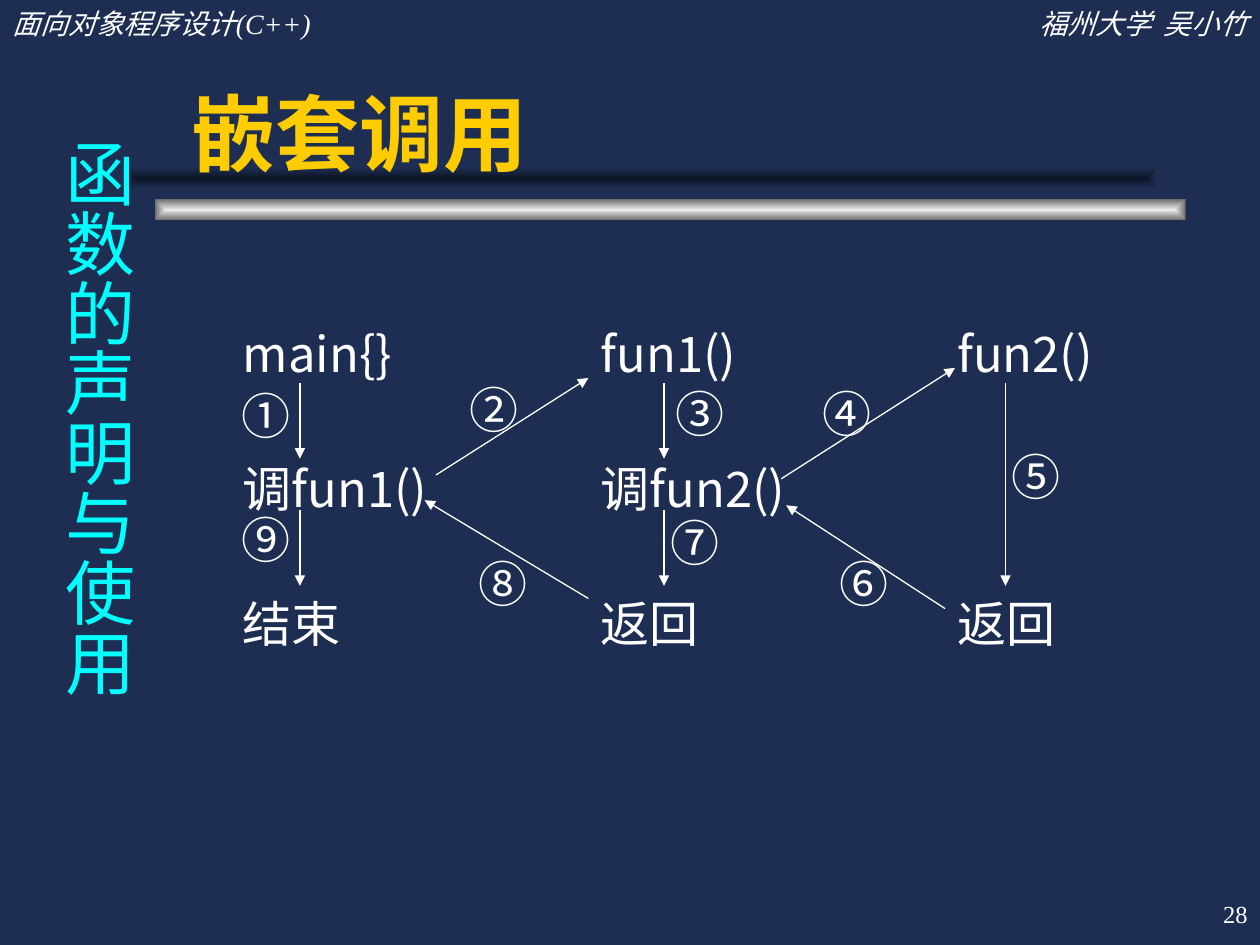
"""Build the nested function call slide."""
from dataclasses import dataclass

from lxml.etree import SubElement
from pptx import Presentation
from pptx.dml.color import RGBColor
from pptx.enum.shapes import MSO_CONNECTOR as CONN, MSO_SHAPE as SHAPE
from pptx.enum.text import MSO_ANCHOR as ANCHOR, PP_ALIGN as ALIGN
from pptx.oxml.ns import qn
from pptx.util import Inches, Pt

COLORS = {
    "navy": "1E2E53", "white": "FFFFFF", "gold": "FFCC00", "cyan": "00FFFF",
    "light": "EAEAEA", "gray": "6B6B6B", "shadow": "0D1526",
}
SERIF, SANS, CJK = "Times New Roman", "Arial", "Noto Sans CJK SC"
LINE, ROW = 41, 77


@dataclass
class Style:
    size: float
    font: str
    color: str = "white"
    bold: bool = False
    italic: bool = False


@dataclass
class Label:
    text: str
    box: tuple
    style: Style
    align: ALIGN = ALIGN.LEFT
    anchor: ANCHOR = ANCHOR.TOP
    insets: tuple = (0.1, 0.05)
    vert: str = "horz"


@dataclass
class Bar:
    x: float
    y: float
    center: str
    edge: str


@dataclass
class Column:
    x: float
    rows: dict


@dataclass
class Arrow:
    start: tuple
    end: tuple


HEADER = Style(16, SERIF, italic=True)
BODY = Style(28, CJK)

BARS = [Bar(1.23, 1.58, "light", "gray"), Bar(1, 1.33, "shadow", "navy")]
LABELS = [
    Label("面向对象程序设计(C++)", (0, 0, 3.08, 0.37), HEADER),
    Label("福州大学  吴小竹", (6.92, 0, 3.08, 0.37), HEADER, ALIGN.RIGHT),
    Label("嵌套调用", (1.42, 0.25, 7.83, 1.25), Style(48, SANS, "gold", bold=True),
          anchor=ANCHOR.BOTTOM),
    Label("函数的声明与使用", (0.3, 1, 0.86, 5.42), Style(40, SERIF, "cyan"),
          insets=(0.05, 0.1), vert="eaVert"),
    Label("28", (7.92, 7, 2.08, 0.5), Style(14, SERIF), ALIGN.RIGHT, ANCHOR.MIDDLE),
]
COLUMNS = [
    Column(1.83, {0: "main{}", 1: "调fun1()", 2: "结束"}),
    Column(4.67, {0: "fun1()", 1: "调fun2()", 2: "返回"}),
    Column(7.5, {0: "fun2()", 2: "返回"}),
]
ARROWS = [Arrow((x, top), (x, top + 0.6)) for x in (2.38, 5.27) for top in (3.04, 4.05)] + [
    Arrow((3.46, 3.77), (4.67, 3)),
    Arrow((4.67, 4.75), (3.37, 3.97)),
    Arrow((6.2, 3.8), (7.58, 2.92)),
    Arrow((7.98, 3.04), (7.98, 4.65)),
    Arrow((7.5, 4.83), (6.24, 4.01)),
]
STEPS = {
    "①": (1.92, 3.06), "②": (3.73, 3.01), "③": (5.36, 3.04),
    "④": (6.53, 3.04), "⑤": (8.03, 3.54), "⑥": (6.66, 4.39),
    "⑦": (5.32, 4.07), "⑧": (3.8, 4.39), "⑨": (1.92, 4.04),
}


def rgb(name: str) -> RGBColor:
    return RGBColor.from_string(COLORS[name])


def add_run(p, text: str, style: Style) -> None:
    r = p.add_run()
    r.text = text
    f = r.font
    f.size, f.name, f.bold, f.italic = Pt(style.size), style.font, style.bold, style.italic
    f.color.rgb = rgb(style.color)
    SubElement(r._r.get_or_add_rPr(), qn("a:ea"), typeface=CJK)


def add_frame(s, box: tuple, insets: tuple):
    tf = s.shapes.add_textbox(*map(Inches, box)).text_frame
    tf.word_wrap = True
    tf.margin_left = tf.margin_right = Inches(insets[0])
    tf.margin_top = tf.margin_bottom = Inches(insets[1])
    return tf


def add_label(s, label: Label) -> None:
    tf = add_frame(s, label.box, label.insets)
    tf.vertical_anchor = label.anchor
    tf._txBody.bodyPr.set("vert", label.vert)
    p = tf.paragraphs[0]
    p.alignment = label.align
    add_run(p, label.text, label.style)


def add_bar(s, bar: Bar) -> None:
    sp = s.shapes.add_shape(SHAPE.RECTANGLE, Inches(bar.x), Inches(bar.y),
                            Inches(8.18), Inches(0.17))
    sp.shadow.inherit = False
    sp.line.fill.background()
    sp.fill.gradient()
    for stop, color in zip(sp.fill.gradient_stops, (bar.center, bar.edge)):
        stop.color.rgb = rgb(color)
    grad = sp._element.spPr.find(qn("a:gradFill"))
    grad.remove(grad.find(qn("a:lin")))
    focus = SubElement(grad, qn("a:path"), path="rect")
    SubElement(focus, qn("a:fillToRect"), dict.fromkeys("ltrb", "50000"))


def add_column(s, column: Column) -> None:
    tf = add_frame(s, (column.x, 2.42, 1.83, 2.83), (0.1, 0.05))
    last = 0
    for row, text in column.rows.items():
        p = tf.add_paragraph() if row else tf.paragraphs[0]
        p.alignment, p.line_spacing = ALIGN.JUSTIFY, Pt(LINE)
        if row:
            p.space_before = Pt((row - last) * ROW - LINE)
        add_run(p, text, BODY)
        last = row


def add_arrow(s, arrow: Arrow) -> None:
    c = s.shapes.add_connector(CONN.STRAIGHT, *map(Inches, arrow.start + arrow.end))
    c.line.color.rgb = rgb("white")
    c.line.width = Pt(0.75)
    SubElement(c.line._get_or_add_ln(), qn("a:tailEnd"), type="triangle")
    SubElement(c._element.spPr, qn("a:effectLst"))


def main() -> None:
    prs = Presentation()
    prs.slide_width, prs.slide_height = Inches(10), Inches(7.5)
    s = prs.slides.add_slide(prs.slide_layouts[6])
    s.background.fill.solid()
    s.background.fill.fore_color.rgb = rgb("navy")
    for bar in BARS:
        add_bar(s, bar)
    for label in LABELS:
        add_label(s, label)
    for column in COLUMNS:
        add_column(s, column)
    for arrow in ARROWS:
        add_arrow(s, arrow)
    for text, at in STEPS.items():
        add_label(s, Label(text, at + (0.33, 0.4), BODY, ALIGN.JUSTIFY, insets=(0, 0)))
    prs.save("out.pptx")


if __name__ == "__main__":
    main()
